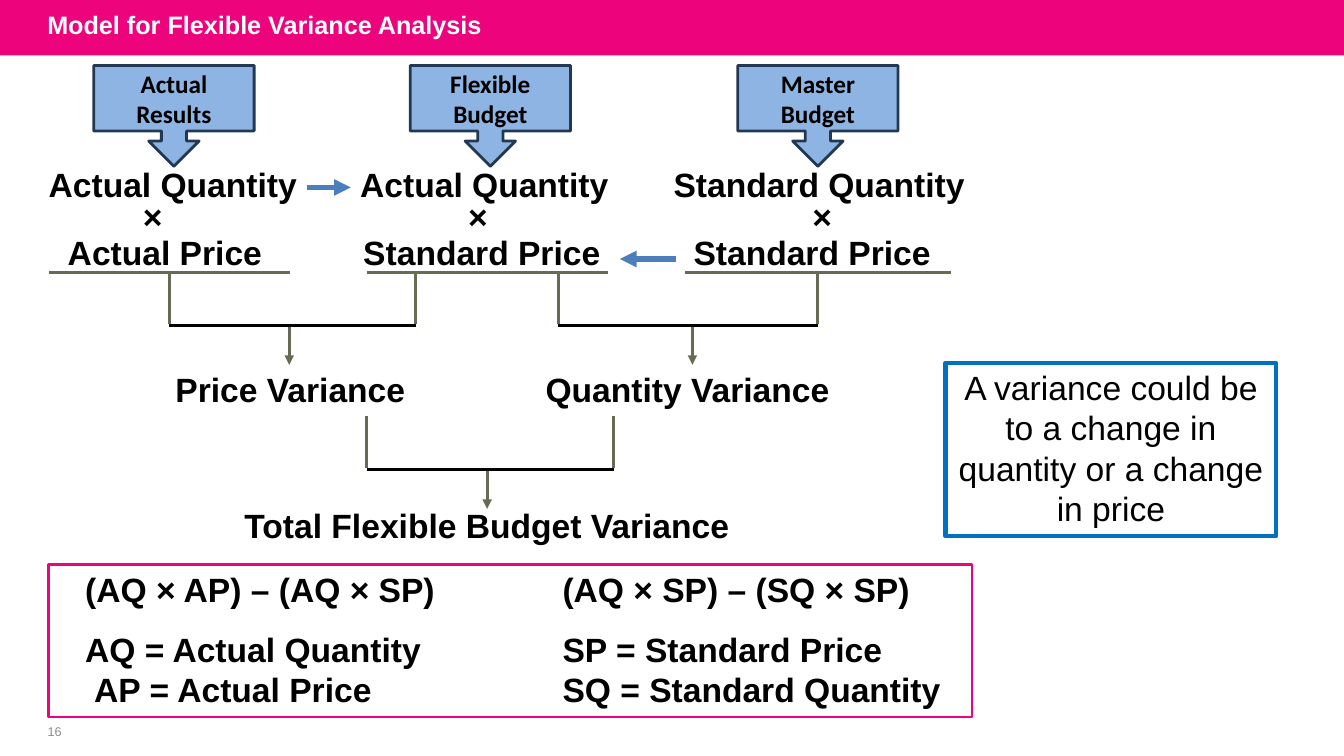
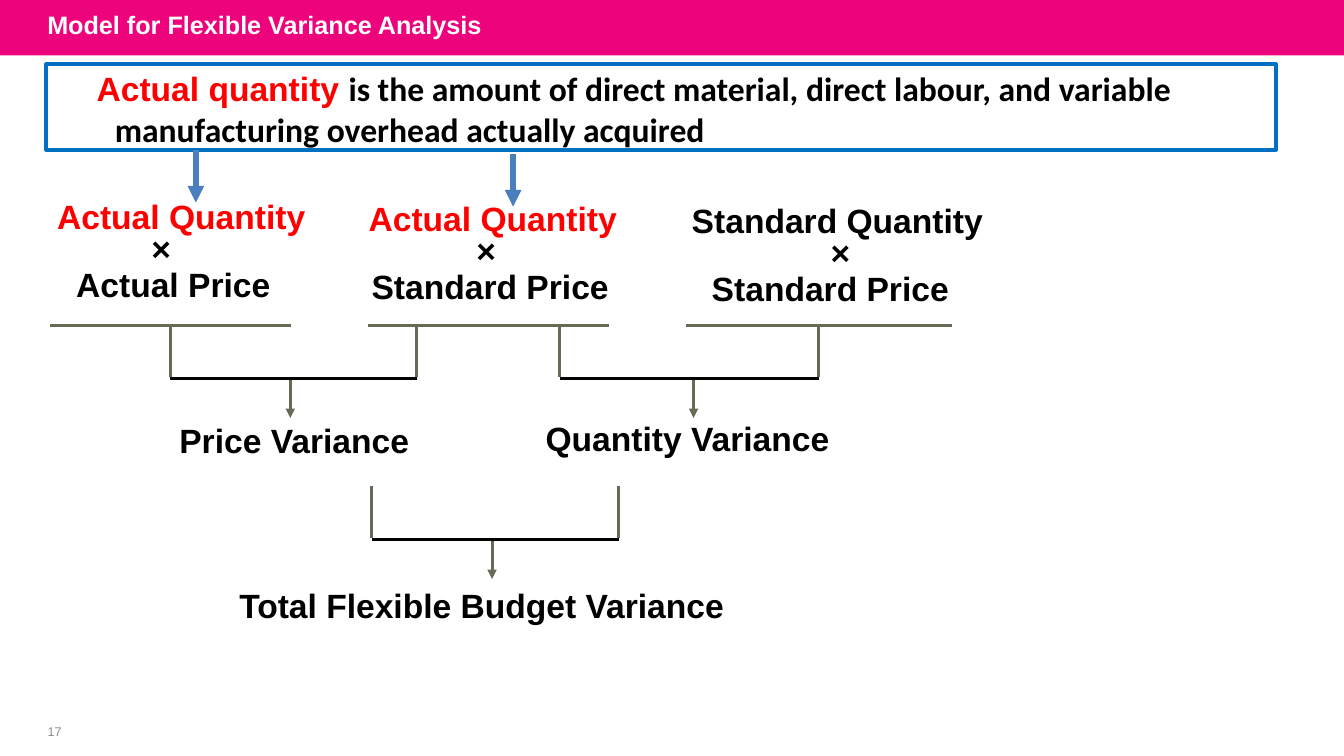
"""Build two slides that explain the flexible budget variance model."""
from dataclasses import dataclass, replace
from typing import Optional

from lxml.etree import SubElement
from pptx import Presentation
from pptx.dml.color import RGBColor
from pptx.enum.shapes import MSO_CONNECTOR, MSO_SHAPE
from pptx.enum.text import MSO_ANCHOR, MSO_AUTO_SIZE, PP_ALIGN
from pptx.oxml.ns import qn
from pptx.util import Pt

PINK = RGBColor(0xED, 0x03, 0x7C)
WHITE = RGBColor(0xFF, 0xFF, 0xFF)
BLACK = RGBColor(0x00, 0x00, 0x00)
RED = RGBColor(0xFF, 0x00, 0x00)
GRAY = RGBColor(0x8C, 0x8C, 0x8C)
OLIVE = RGBColor(0x67, 0x6A, 0x54)
FRAME_BLUE = RGBColor(0x00, 0x70, 0xC0)
ARROW_BLUE = RGBColor(0x4B, 0x7E, 0xBC)
CALLOUT_BLUE = RGBColor(0x8E, 0xB4, 0xE3)
CALLOUT_EDGE = RGBColor(0x23, 0x39, 0x53)

TITLE = "Model for Flexible Variance Analysis"
TREE_WEIGHT = 2.25
STEM_HEIGHT = 37.2
BAR_DROP = 38.2
ARROW_LENGTH = 28


@dataclass(frozen=True)
class Area:
    """A rectangle in points."""
    left: float
    top: float
    width: float
    height: float


@dataclass(frozen=True)
class Style:
    """Text format of a run."""
    color: RGBColor = BLACK
    size: float = 24
    bold: bool = True
    name: str = "Arial"


@dataclass(frozen=True)
class Line:
    """A paragraph: styled runs, side margins and spacing in points."""
    runs: tuple[tuple[str, Style], ...]
    align: PP_ALIGN = PP_ALIGN.LEFT
    margin_left: float = 0
    margin_right: float = 0
    indent: float = 0
    before: float = 0
    spacing: Optional[float] = None


@dataclass(frozen=True)
class Column:
    """A quantity times price formula with its paragraph margins."""
    left: float
    width: float
    quantity: str
    price: str
    times_left: float
    times_right: float
    price_right: float


@dataclass(frozen=True)
class Bracket:
    """A bar between two stems with an arrow below."""
    left: float
    right: float
    arrow: float


HEADING = Style()
COLUMNS = (
    Column(33.8, 179.3, "Actual Quantity", "Actual Price", 0, 28.6, 11.4),
    Column(256.3, 179.3, "Actual Quantity", "Standard Price", 0, 9.3, 3.6),
    Column(480, 210.2, "Standard Quantity", "Standard Price", 4.5, 0, 10),
)
UNDERLINES = (((35, 207.4), (121,)), ((262.1, 434.2), (297, 398.9)), ((489, 679), (584,)))
UPPER_BRACKETS = (Bracket(121, 297, 206.6), Bracket(398.9, 584, 494.6))
LOWER_BRACKET = Bracket(262.1, 438.5, 348)
CALLOUTS = (
    (67, ("Actual", "Results")),
    (293, ("Flexible Budget",)),
    (527, ("Master Budget",)),
)


def plain(text: str, style: Style = HEADING, **layout) -> Line:
    """Return a paragraph of one run."""
    return Line(((text, style),), **layout)


def write(frame, lines: tuple[Line, ...], anchor=MSO_ANCHOR.TOP,
          margins: tuple[float, float, float, float] = (0, 0.7, 0, 0)) -> None:
    """Fill a text frame with paragraphs."""
    left, top, right, bottom = map(Pt, margins)
    settings = dict(word_wrap=True, auto_size=MSO_AUTO_SIZE.NONE, vertical_anchor=anchor,
                    margin_left=left, margin_top=top, margin_right=right, margin_bottom=bottom)
    for name, value in settings.items():
        setattr(frame, name, value)
    for number, line in enumerate(lines):
        paragraph = frame.add_paragraph() if number else frame.paragraphs[0]
        paragraph.alignment = line.align
        paragraph.space_before = Pt(line.before)
        if line.spacing:
            paragraph.line_spacing = Pt(line.spacing)
        properties = paragraph._p.get_or_add_pPr()
        sides = dict(marL=line.margin_left, marR=line.margin_right, indent=line.indent)
        for name, value in sides.items():
            properties.set(name, str(int(Pt(value))))
        for text, style in line.runs:
            run = paragraph.add_run()
            run.text = text
            font_format = dict(name=style.name, size=Pt(style.size), bold=style.bold)
            for name, value in font_format.items():
                setattr(run.font, name, value)
            run.font.color.rgb = style.color


def add_text(slide, area: Area, *lines: Line, **frame_format) -> None:
    """Add a text box."""
    shape = slide.shapes.add_textbox(
        Pt(area.left), Pt(area.top), Pt(area.width), Pt(area.height))
    write(shape.text_frame, lines, **frame_format)


def format_outline(shape, edge: RGBColor, weight: float, fill: Optional[RGBColor] = None) -> None:
    """Set the line and the optional fill of a shape without shadow."""
    shape.shadow.inherit = False
    if fill is None:
        shape.fill.background()
    else:
        shape.fill.solid()
        shape.fill.fore_color.rgb = fill
    shape.line.color.rgb = edge
    shape.line.width = Pt(weight)


def add_box(slide, area: Area, edge: RGBColor, weight: float, *lines: Line,
            kind=MSO_SHAPE.RECTANGLE, fill: Optional[RGBColor] = None, **frame_format) -> None:
    """Add an outlined preset shape with optional fill and text."""
    shape = slide.shapes.add_shape(
        kind, Pt(area.left), Pt(area.top), Pt(area.width), Pt(area.height))
    format_outline(shape, edge, weight, fill)
    if lines:
        write(shape.text_frame, lines, **frame_format)


def add_line(slide, start: tuple[float, float], end: tuple[float, float],
             color: RGBColor = OLIVE, weight: float = TREE_WEIGHT, arrow: bool = False) -> None:
    """Add a straight connector, with an arrowhead at its end on request."""
    connector = slide.shapes.add_connector(
        MSO_CONNECTOR.STRAIGHT, *map(Pt, (*start, *end)))
    connector.line.color.rgb = color
    connector.line.width = Pt(weight)
    if arrow:
        SubElement(connector.line._get_or_add_ln(), qn("a:tailEnd"), type="triangle")
    SubElement(connector._element.spPr, qn("a:effectLst"))


def add_stems(slide, stems: tuple[float, ...], top: float, shift: float,
              underline: tuple[float, ...] = ()) -> None:
    """Draw stems, and the underline they hang from, as one outline."""
    strokes = [((x, top), (x, top + STEM_HEIGHT)) for x in stems]
    if underline:
        strokes.insert(0, tuple((x, top) for x in underline))
    points = [[(Pt(x + shift), Pt(y)) for x, y in stroke] for stroke in strokes]
    builder = slide.shapes.build_freeform(*points[0][0])
    for start, end in points:
        builder.move_to(*start)
        builder.add_line_segments([end], close=False)
    format_outline(builder.convert_to_shape(), OLIVE, TREE_WEIGHT)


def add_bracket(slide, bracket: Bracket, top: float, shift: float) -> None:
    """Draw the bar below two stems and the arrow that leaves it."""
    left, right, arrow = (x + shift for x in (bracket.left, bracket.right, bracket.arrow))
    bar = top + BAR_DROP
    add_line(slide, (arrow, bar), (arrow, bar + ARROW_LENGTH), arrow=True)
    add_line(slide, (left, bar), (right, bar), BLACK)


def add_tree(slide, top: float, shift: float, lower_top: float, lower_shift: float) -> None:
    """Draw the underlines and the brackets that lead to the total."""
    for underline, stems in UNDERLINES:
        add_stems(slide, stems, top, shift, underline)
    for bracket in UPPER_BRACKETS:
        add_bracket(slide, bracket, top, shift)
    add_stems(slide, (LOWER_BRACKET.left, LOWER_BRACKET.right), lower_top, lower_shift)
    add_bracket(slide, LOWER_BRACKET, lower_top, lower_shift)


def add_column(slide, column: Column, top: float, shift: float = 0,
               quantity_color: RGBColor = BLACK) -> None:
    """Write one quantity times price formula."""
    center = PP_ALIGN.CENTER
    add_text(
        slide, Area(column.left + shift, top, column.width, 77),
        plain(column.quantity, replace(HEADING, color=quantity_color),
              align=center, spacing=25.9),
        plain("×", align=center, spacing=23.1, margin_left=column.times_left,
              margin_right=column.times_right),
        plain(column.price, align=center, spacing=25.9, margin_right=column.price_right))


def add_variance_labels(slide, price: tuple[float, float], quantity: tuple[float, float],
                        total: tuple[float, float]) -> None:
    """Name the two variances and their total."""
    for text, (left, top), width in (("Price Variance", price, 175),
                                     ("Quantity Variance", quantity, 212),
                                     ("Total Flexible Budget Variance", total, 370)):
        add_text(slide, Area(left, top, width, 31), plain(text, margin_left=0.7))


def add_model_slide(presentation, number: int):
    """Add a slide with the title band and the slide number."""
    slide = presentation.slides.add_slide(presentation.slide_layouts[5])
    title = slide.shapes.title
    position = dict(left=Pt(0), top=Pt(0), width=presentation.slide_width, height=Pt(39.6))
    for name, value in position.items():
        setattr(title, name, value)
    title.fill.solid()
    title.fill.fore_color.rgb = PINK
    write(title.text_frame, (plain(TITLE, Style(WHITE, 18)),),
          anchor=MSO_ANCHOR.MIDDLE, margins=(33.8, 0, 0, 5.2))
    add_text(slide, Area(18.9, 514, 37.4, 17.3),
             plain(str(number), Style(GRAY, 9, False), align=PP_ALIGN.CENTER, margin_left=2.9),
             anchor=MSO_ANCHOR.MIDDLE, margins=(0, 0, 0, 0))
    return slide


def build_formula_slide(presentation) -> None:
    """Show the model with its budgets, formulas and abbreviations."""
    slide = add_model_slide(presentation, 16)
    for column in COLUMNS:
        add_column(slide, column, 119.1)
    add_tree(slide, 194.4, 0, 297.3, 0)
    add_variance_labels(slide, (124.6, 262.8), (389, 262.8), (173.9, 360))
    add_box(slide, Area(675.4, 259.2, 236.2, 123.8), FRAME_BLUE, 3,
            plain("A variance could be to a change in quantity or a change in price",
                  Style(bold=False), align=PP_ALIGN.CENTER, spacing=28.8),
            margins=(8, 2.9, 8, 0))
    add_box(slide, Area(34.6, 403.2, 659.8, 109), PINK, 2)
    legends = (
        (60.8, "(AQ × AP) – (AQ × SP)", "AQ = Actual Quantity", "AP = Actual Price", 6.5),
        (401.8, "(AQ × SP) – (SQ × SP)", "SP = Standard Price", "SQ = Standard Quantity", 0),
    )
    for left, formula, first, second, second_margin in legends:
        add_text(slide, Area(left, 391, 275, 117.4),
                 plain(formula, spacing=28.8),
                 plain(first, spacing=28.8, before=14.4),
                 plain(second, spacing=28.8, margin_left=second_margin),
                 margins=(0, 15.1, 0, 0))
    callout_style = Style(size=18, name="Calibri")
    for left, texts in CALLOUTS:
        add_box(slide, Area(left, 46.8, 114.5, 72), CALLOUT_EDGE, 2,
                *(plain(text, callout_style, align=PP_ALIGN.CENTER) for text in texts),
                kind=MSO_SHAPE.DOWN_ARROW_CALLOUT, fill=CALLOUT_BLUE,
                anchor=MSO_ANCHOR.MIDDLE, margins=(7.2, 3.6, 7.2, 3.6))
    for start, end, height in ((219.2, 250.6, 133.9), (483.1, 442.8, 185)):
        add_line(slide, (start, height), (end, height), ARROW_BLUE, 4, arrow=True)


def build_quantity_slide(presentation) -> None:
    """Define actual quantity and point to it in the model."""
    slide = add_model_slide(presentation, 17)
    placements = ((142, 6, RED), (143.3, 6, RED), (144.7, 13, BLACK))
    for column, placement in zip(COLUMNS, placements):
        add_column(slide, column, *placement)
    add_tree(slide, 232.4, 0.8, 347.4, 3.5)
    add_variance_labels(slide, (127.4, 299.5), (389, 298.1), (170.2, 416.9))
    definition = (
        ("Actual quantity ", Style(RED)),
        ("is the amount of direct material, direct labour, and variable manufacturing "
         "overhead actually acquired", Style(name="Calibri")),
    )
    add_box(slide, Area(33, 45.8, 878.4, 61.2), FRAME_BLUE, 2.5,
            Line(definition, margin_left=49, indent=-13), margins=(0, 2.9, 0, 0))
    for x, top in ((139.9, 107.3), (366.5, 110.2)):
        add_line(slide, (x, top), (x, top + 37.4), ARROW_BLUE, 4, arrow=True)


def main() -> None:
    """Build and save the presentation."""
    presentation = Presentation()
    presentation.slide_width = Pt(960)
    presentation.slide_height = Pt(540)
    build_formula_slide(presentation)
    build_quantity_slide(presentation)
    presentation.save("out.pptx")


if __name__ == "__main__":
    main()
